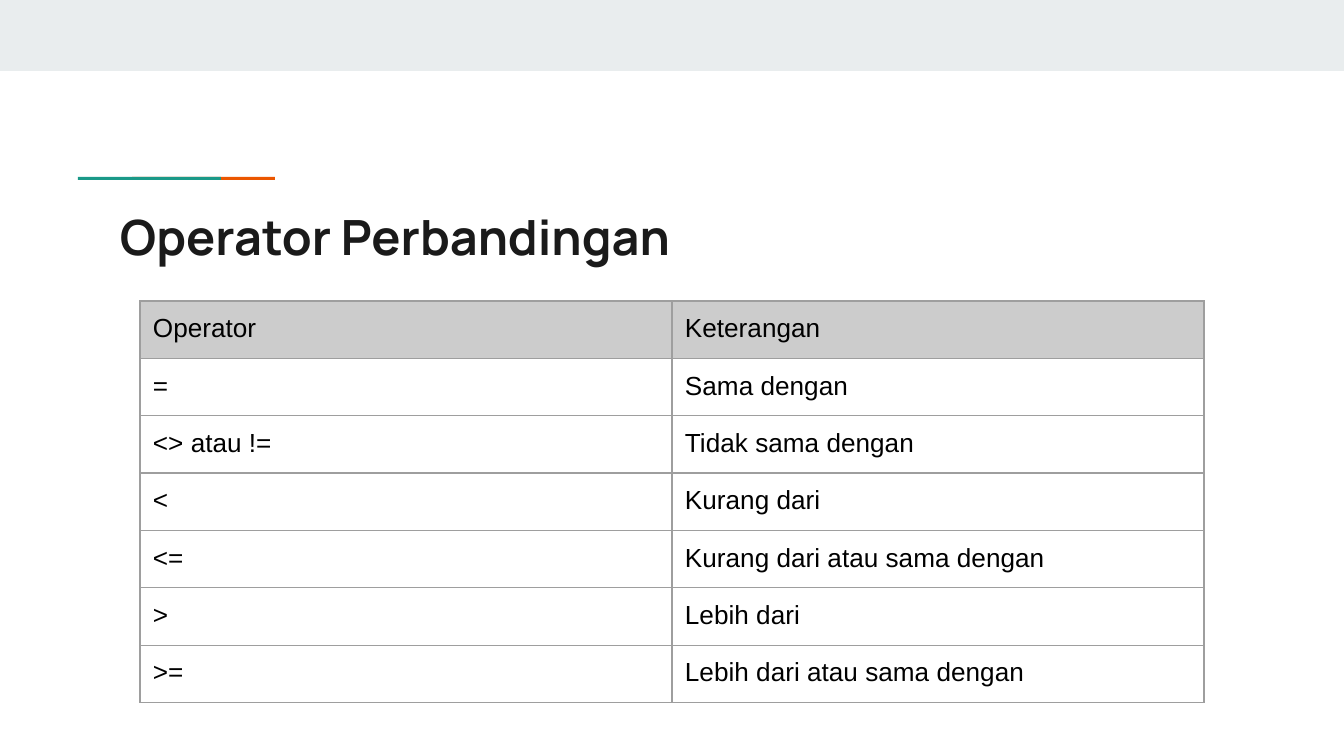
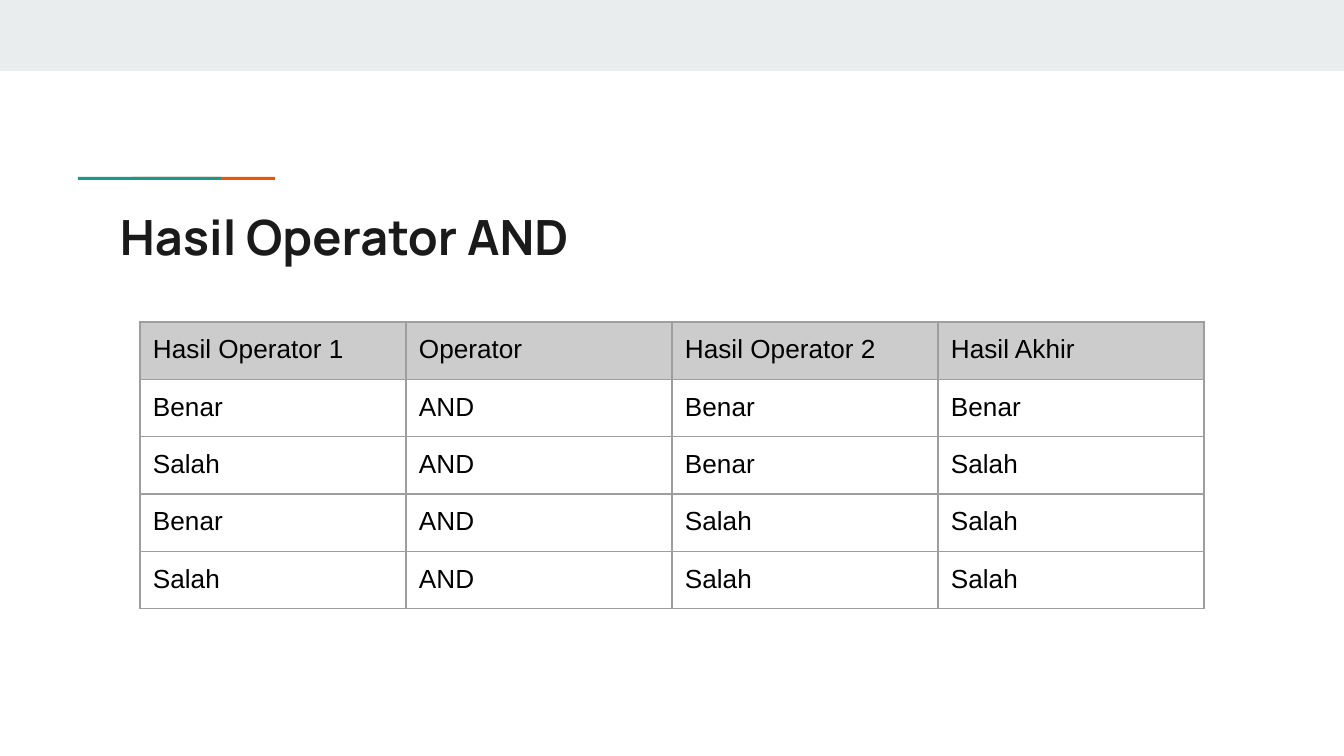
from lxml.etree import SubElement
from pptx import Presentation
from pptx.dml.color import RGBColor
from pptx.enum.shapes import MSO_SHAPE
from pptx.enum.text import MSO_ANCHOR
from pptx.oxml.ns import qn
from pptx.util import Pt

EMU_PER_PX = 914400 / 134.4
SLIDE_WIDTH, SLIDE_HEIGHT = 1344, 756
INSET = 13
ROW_HEIGHT = 56

BAND = RGBColor(0xE9, 0xED, 0xEE)
ORANGE = RGBColor(0xEB, 0x56, 0x00)
TEAL = RGBColor(0x1A, 0x99, 0x88)
INK = RGBColor(0x1A, 0x1A, 0x1A)
BLACK = RGBColor(0x00, 0x00, 0x00)
HEADER = RGBColor(0xCC, 0xCC, 0xCC)
GRID = RGBColor(0x9E, 0x9E, 0x9E)

TITLE_FONT = {"name": "Manrope", "size": Pt(26), "bold": True}
CELL_FONT = {"name": "Arial", "size": Pt(14), "bold": False}
MARGINS = ("margin_left", "margin_top", "margin_right", "margin_bottom")

COMPARISONS = [
    ("Operator", "Keterangan"),
    ("=", "Sama dengan"),
    ("<> atau !=", "Tidak sama dengan"),
    ("<", "Kurang dari"),
    ("<=", "Kurang dari atau sama dengan"),
    (">", "Lebih dari"),
    (">=", "Lebih dari atau sama dengan"),
]
AND_RESULTS = [
    ("Hasil Operator 1", "Operator", "Hasil Operator 2", "Hasil Akhir"),
    ("Benar", "AND", "Benar", "Benar"),
    ("Salah", "AND", "Benar", "Salah"),
    ("Benar", "AND", "Salah", "Salah"),
    ("Salah", "AND", "Salah", "Salah"),
]


def px(length):
    return round(length * EMU_PER_PX)


def emu_box(box):
    return [px(length) for length in box]


def apply_format(target, values):
    for attribute, value in values.items():
        setattr(target, attribute, value)


def write_text(frame, text, font_format, color):
    run = frame.paragraphs[0].add_run()
    run.text = text
    apply_format(run.font, font_format)
    run.font.color.rgb = color


def add_bar(slide, box, color):
    bar = slide.shapes.add_shape(MSO_SHAPE.RECTANGLE, *emu_box(box))
    bar.shadow.inherit = False
    bar.fill.solid()
    bar.fill.fore_color.rgb = color
    bar.line.fill.background()


def add_accent(slide, box):
    left, top, width, height = box
    segment = 143
    add_bar(slide, (left + width - segment, top, segment, height), ORANGE)
    add_bar(slide, (left, top, segment, height), TEAL)


def add_title(slide, box, text):
    frame = slide.shapes.add_textbox(*emu_box(box)).text_frame
    apply_format(frame, dict.fromkeys(MARGINS, px(INSET)))
    apply_format(frame, {"word_wrap": True, "vertical_anchor": MSO_ANCHOR.TOP})
    write_text(frame, text, TITLE_FONT, INK)


def add_cell_borders(cell):
    properties = cell._tc.get_or_add_tcPr()
    for side in ("a:lnL", "a:lnR", "a:lnT", "a:lnB"):
        border = SubElement(properties, qn(side), w=str(Pt(0.75)))
        fill = SubElement(border, qn("a:solidFill"))
        SubElement(fill, qn("a:srgbClr"), val=str(GRID))


def fill_cell(cell, text, is_header):
    apply_format(cell, dict.fromkeys(MARGINS, px(INSET)))
    add_cell_borders(cell)
    if is_header:
        cell.fill.solid()
        cell.fill.fore_color.rgb = HEADER
    else:
        cell.fill.background()
    write_text(cell.text_frame, text, CELL_FONT, BLACK)


def add_operator_table(slide, left, top, width, entries):
    column_count = len(entries[0])
    box = (left, top, width, ROW_HEIGHT * len(entries))
    table = slide.shapes.add_table(
        len(entries), column_count, *emu_box(box)).table
    apply_format(table, {"first_row": False, "horz_banding": False})
    for column in table.columns:
        column.width = px(width // column_count)
    for row_index, entry in enumerate(entries):
        table.rows[row_index].height = px(ROW_HEIGHT)
        for column_index, text in enumerate(entry):
            fill_cell(table.cell(row_index, column_index), text, row_index == 0)


def add_operator_slide(deck, title, table_top, entries):
    slide = deck.slides.add_slide(deck.slide_layouts[6])
    add_bar(slide, (0, 0, SLIDE_WIDTH, 71), BAND)
    add_accent(slide, (78, 177, 197, 3))
    add_title(slide, (107, 194, 1130, 79), title)
    add_operator_table(slide, 140, table_top, 1064, entries)


def main():
    deck = Presentation()
    apply_format(deck, {"slide_width": px(SLIDE_WIDTH),
                        "slide_height": px(SLIDE_HEIGHT)})
    add_operator_slide(deck, "Operator Perbandingan", 301, COMPARISONS)
    add_operator_slide(deck, "Hasil Operator AND", 322, AND_RESULTS)
    deck.save("out.pptx")


if __name__ == "__main__":
    main()
